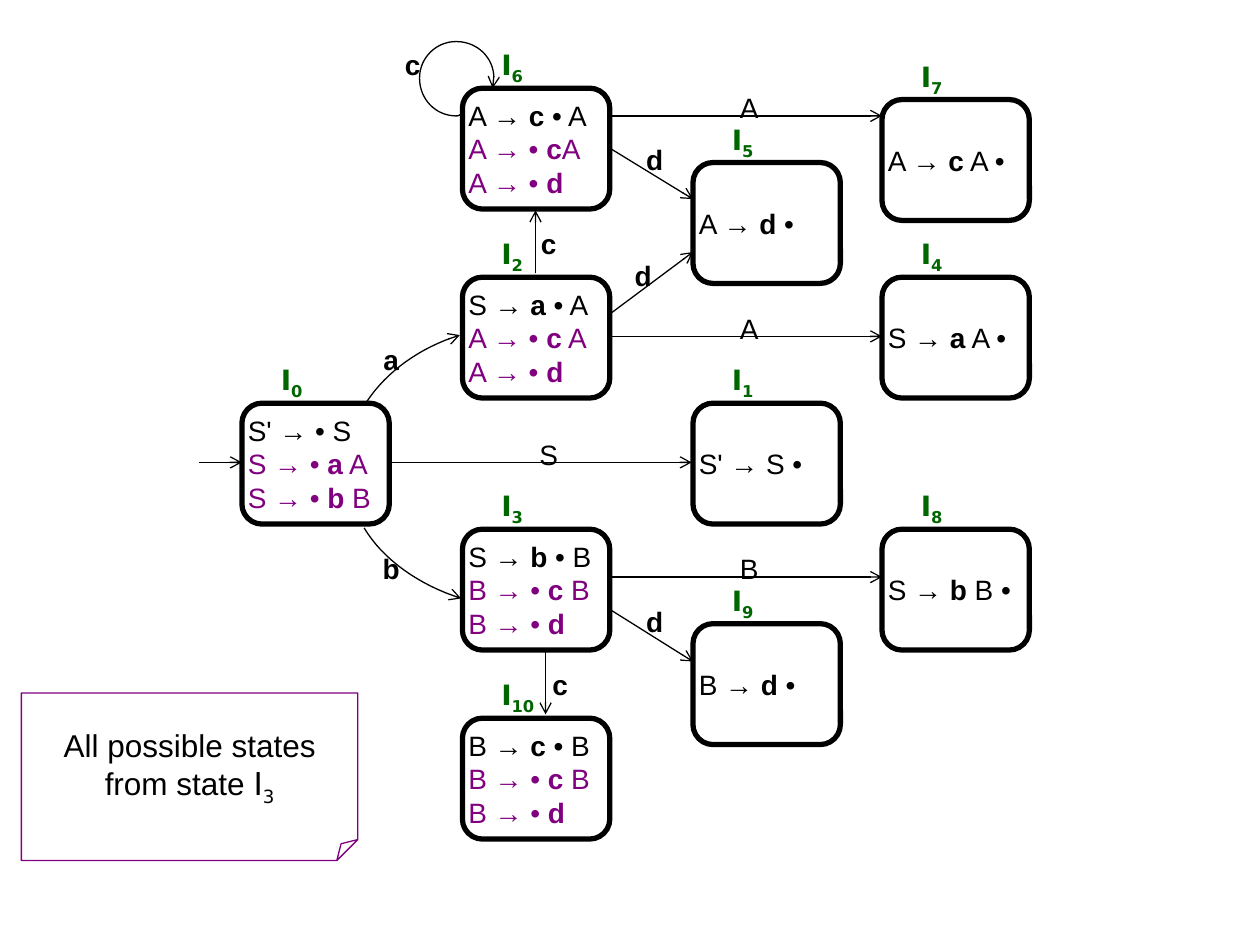
from lxml import etree
from pptx import Presentation
from pptx import util as u
from pptx.dml.color import RGBColor
from pptx.enum import shapes, text
from pptx.oxml.ns import qn

BLACK, WHITE, PURPLE, GREEN = "000000", "FFFFFF", "800080", "006600"
STATE_W, STATE_H = 1.17, 0.96
COLUMNS = [1.92, 3.67, 5.5, 7]


def color(hex_code):
    return RGBColor.from_string(hex_code)


def size(units):
    """Grid units of 2.54 cm."""
    return u.Cm(units * 2.54)


def bezier(points, steps=16):
    """Points along joined cubic curves, given as 3n + 1 control points."""
    result = [points[0]]
    for first in range(0, len(points) - 1, 3):
        controls = points[first:first + 4]
        for step in range(1, steps + 1):
            t = step / steps
            weights = ((1 - t) ** 3, 3 * t * (1 - t) ** 2, 3 * t * t * (1 - t), t ** 3)
            result.append(tuple(sum(w * p[axis] for w, p in zip(weights, controls))
                                for axis in (0, 1)))
    return result


class Diagram:
    font = "Arial"
    label_font = "DejaVu Sans"
    points = 16

    def __init__(self, page):
        self.page = page

    def style(self, span, hex_code=BLACK, bold=False, font=None, points=None, sub=False):
        span.font.name = font or self.font
        span.font.size = u.Pt(points or self.points)
        span.font.bold = bold
        span.font.color.rgb = color(hex_code)
        if sub:
            span._r.get_or_add_rPr().set("baseline", "-25000")

    def add_span(self, para, words, **look):
        span = para.add_run()
        span.text = words
        self.style(span, **look)

    def shape(self, kind, left, top, width, height, line, weight):
        box = self.page.shapes.add_shape(kind, *map(size, (left, top, width, height)))
        box.shadow.inherit = False
        box.line.color.rgb = color(line)
        box.line.width = u.Pt(weight)
        box.text_frame.word_wrap = False
        box.text_frame.vertical_anchor = text.MSO_ANCHOR.MIDDLE
        return box

    def text_box(self, left, top, width, height):
        frame = self.page.shapes.add_textbox(*map(size, (left, top, width, height))).text_frame
        frame.word_wrap = True
        return frame.paragraphs[0]

    def state(self, number, column, top, *items):
        """A numbered item set; asterisks enclose bold terminals."""
        left = COLUMNS[column]
        box = self.shape(shapes.MSO_SHAPE.ROUNDED_RECTANGLE, left, top,
                         STATE_W, STATE_H, BLACK, 3)
        box.fill.solid()
        box.fill.fore_color.rgb = color(WHITE)
        frame = box.text_frame
        frame.margin_left = frame.margin_right = frame.margin_top = frame.margin_bottom = 0
        for index, item in enumerate(items):
            para = frame.add_paragraph() if index else frame.paragraphs[0]
            para.alignment = text.PP_ALIGN.LEFT
            for part, words in enumerate(item.split("*")):
                if words:
                    self.add_span(para, words, bold=part % 2 == 1,
                                  hex_code=PURPLE if index else BLACK)
        title = self.text_box(left + 0.21, top - 0.37, 0.75, 0.41)
        look = dict(hex_code=GREEN, bold=True, font=self.label_font)
        self.add_span(title, "I", **look)
        self.add_span(title, str(number), sub=True, **look)

    def label(self, symbol, left, top):
        para = self.text_box(left, top, 0.55, 0.37)
        para.text = symbol
        para.alignment = text.PP_ALIGN.CENTER
        self.style(para.runs[0], bold=symbol.islower())

    def arrowhead(self, line_shape):
        line_shape.line.color.rgb = color(BLACK)
        line_shape.line.width = u.Pt(0.75)
        outline = line_shape.line._get_or_add_ln()
        etree.SubElement(outline, qn("a:tailEnd"), type="arrow")

    def arrow(self, x1, y1, x2, y2):
        link = self.page.shapes.add_connector(
            shapes.MSO_CONNECTOR.STRAIGHT, *map(size, (x1, y1, x2, y2)))
        self.arrowhead(link)
        etree.SubElement(link._element.spPr, qn("a:effectLst"))

    def curve(self, *controls):
        start, *rest = [(size(x), size(y)) for x, y in bezier(controls)]
        builder = self.page.shapes.build_freeform(*start)
        builder.add_line_segments(rest, close=False)
        bend = builder.convert_to_shape()
        bend.fill.background()
        self.arrowhead(bend)
        bend.shadow.inherit = False

    def note(self, left, top, width, height, first, second, sub):
        box = self.shape(shapes.MSO_SHAPE.FOLDED_CORNER, left, top,
                         width, height, PURPLE, 0.75)
        box.fill.background()
        guides = box._element.spPr.find(qn("a:prstGeom")).get_or_add_avLst()
        etree.SubElement(guides, qn("a:gd"), name="adj", fmla="val 12500")
        frame = box.text_frame
        frame.text = first
        self.style(frame.paragraphs[0].runs[0], points=18)
        para = frame.add_paragraph()
        self.add_span(para, second, points=18)
        self.add_span(para, "I", points=18, font=self.label_font)
        self.add_span(para, sub, points=18, font=self.label_font, sub=True)
        for para in frame.paragraphs:
            para.alignment = text.PP_ALIGN.CENTER


def main():
    deck = Presentation()
    deck.slide_width, deck.slide_height = size(10), size(7.5)
    diagram = Diagram(deck.slides.add_slide(deck.slide_layouts[6]))

    # States: number, column, top, items
    for state in [
        (0, 0, 3.2, "S' → • S", "S → • *a* A", "S → • *b* B"),
        (1, 2, 3.2, "S' → S •"),
        (2, 1, 2.2, "S → *a *• A", "A → • *c* A", "A → • *d*"),
        (3, 1, 4.2, "S → *b *• B", "B → • *c* B", "B → • *d*"),
        (6, 1, 0.7, "A → *c *• A", "A → • *c*A", "A → • *d*"),
        (4, 3, 2.2, "S → *a* A •"),
        (5, 2, 1.29, "A → *d *•"),
        (7, 3, 0.79, "A → *c* A •"),
        (10, 1, 5.7, "B → *c *• B", "B → • *c* B", "B → • *d*"),
        (8, 3, 4.2, "S → *b* B •"),
        (9, 2, 4.95, "B → *d *•"),
    ]:
        diagram.state(*state)

    # Straight transitions
    for ends in [
        (1.58, 3.67, 1.92, 3.67), (3.08, 3.67, 5.49, 3.67),
        (4.25, 2.17, 4.25, 1.67), (4.83, 2.67, 7, 2.67),
        (4.83, 2.5, 5.5, 2), (4.83, 1.17, 5.5, 1.58),
        (4.83, 0.92, 7, 0.92), (4.83, 4.58, 7, 4.58),
        (4.33, 5.17, 4.33, 5.67), (4.83, 4.83, 5.5, 5.25),
    ]:
        diagram.arrow(*ends)

    # Curved transitions and the loop on state 6
    diagram.curve((2.91, 3.19), (3.07, 2.95), (3.33, 2.76), (3.65, 2.66))
    diagram.curve((2.89, 4.19), (3.04, 4.44), (3.32, 4.64), (3.66, 4.75))
    diagram.curve((3.65, 0.91), (3.64, 0.92), (3.63, 0.92), (3.62, 0.92),
                  (3.46, 0.92), (3.33, 0.79), (3.33, 0.62),
                  (3.33, 0.46), (3.46, 0.33), (3.62, 0.33),
                  (3.79, 0.33), (3.92, 0.46), (3.92, 0.62),
                  (3.92, 0.65), (3.91, 0.68), (3.91, 0.7))

    # Transition symbols
    for symbol in [
        ("c", 4.17, 5.25), ("c", 4.08, 1.75), ("S", 4.08, 3.42),
        ("a", 2.83, 2.67), ("b", 2.83, 4.33), ("c", 3, 0.33),
        ("A", 5.67, 2.42), ("d", 4.92, 1.08), ("d", 4.83, 2),
        ("A", 5.67, 0.67), ("B", 5.67, 4.33), ("d", 4.92, 4.75),
    ]:
        diagram.label(*symbol)

    # Note
    diagram.note(0.17, 5.5, 2.67, 1.33, "All possible states", "from state ", "3")

    deck.save("out.pptx")


if __name__ == "__main__":
    main()
